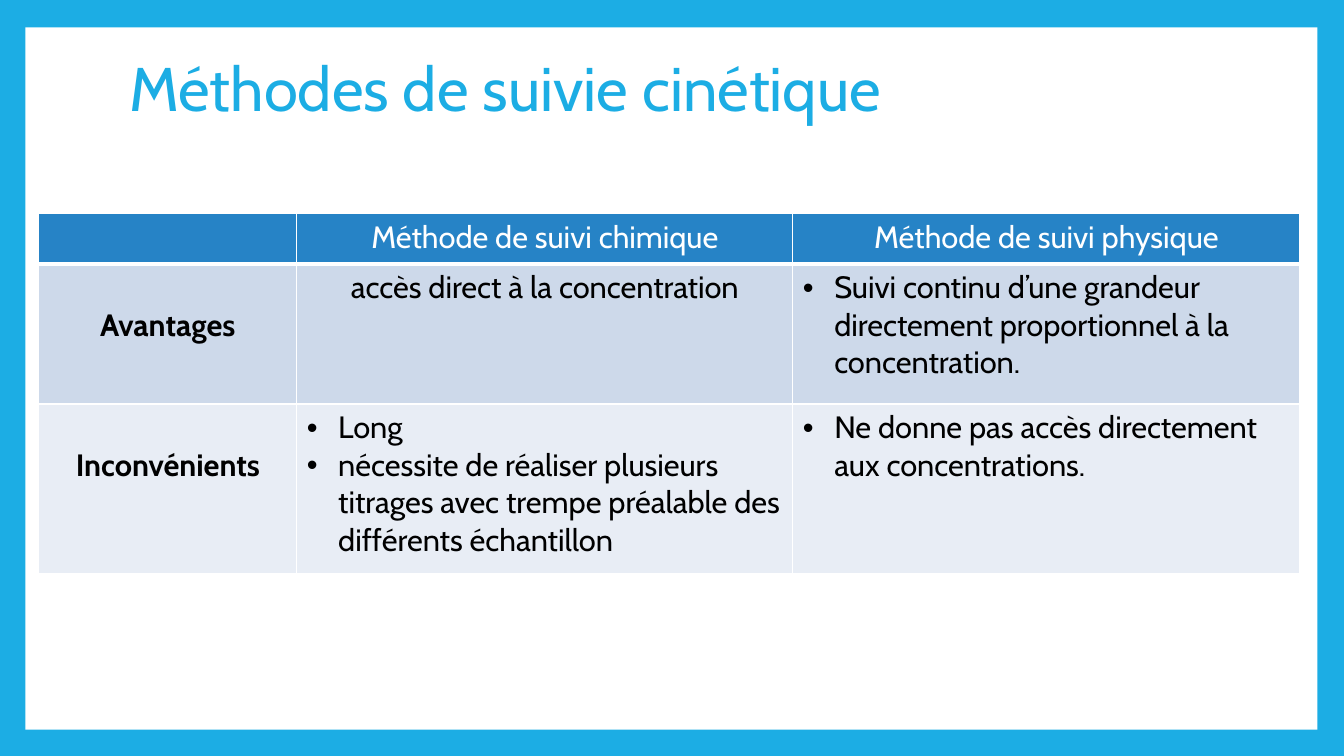
from lxml import etree
from pptx import Presentation
from pptx.dml.color import RGBColor
from pptx.enum import shapes, text
from pptx.oxml import ns
from pptx.util import Cm, Pt

SKY = RGBColor(0x1C, 0xAD, 0xE4)
HEADER_BLUE = RGBColor(0x26, 0x83, 0xC6)
BAND_DARK = RGBColor(0xCD, 0xD9, 0xEA)
BAND_LIGHT = RGBColor(0xE8, 0xED, 0xF5)
WHITE = RGBColor(0xFF, 0xFF, 0xFF)
BLACK = RGBColor(0, 0, 0)
FONT = "Cabin"
INDENT = Cm(0.79)
LABEL_DROP = Cm(1.09)  # row labels start one line lower

COLUMN_WIDTHS = [Cm(6.5), Cm(12.5), Cm(12.78)]
ROW_HEIGHTS = [Cm(1.27), Cm(3.53), Cm(4.27)]
ROW_FILLS = [HEADER_BLUE, BAND_DARK, BAND_LIGHT]

# A string is centred; a list is bulleted
METHODS = [
    ["", "Méthode de suivi chimique", "Méthode de suivi physique"],
    ["Avantages", "accès direct à la concentration",
     ["Suivi continu d’une grandeur directement proportionnel à la concentration."]],
    ["Inconvénients",
     ["Long", "nécessite de réaliser plusieurs titrages avec trempe préalable "
              "des différents échantillon"],
     ["Ne donne pas accès directement aux concentrations."]],
]


def write(paragraph, words, size=22, color=BLACK, bold=False, align=None,
          bullet=False, line_spacing=None):
    paragraph.alignment = align
    paragraph.line_spacing = line_spacing
    run = paragraph.add_run()
    run.text = words
    run.font.name, run.font.size, run.font.bold = FONT, Pt(size), bold
    run.font.color.rgb = color
    if bullet:
        properties = paragraph._p.get_or_add_pPr()
        properties.set("marL", str(INDENT))
        properties.set("indent", str(-INDENT))
        etree.SubElement(properties, ns.qn("a:buFont"), typeface="Arial")
        etree.SubElement(properties, ns.qn("a:buChar"), char="•")


def add_borders(cell, **widths):
    """Draw white cell borders, widths in points by side (L, R, T, B)."""
    properties = cell._tc.get_or_add_tcPr()
    for position, side in enumerate("LRTB"):
        line = etree.Element(ns.qn(f"a:ln{side}"), w=str(Pt(widths.get(side, 1))))
        fill = etree.SubElement(line, ns.qn("a:solidFill"))
        etree.SubElement(fill, ns.qn("a:srgbClr"), val=str(WHITE))
        properties.insert(position, line)


def fill_cell(cell, content, fill, header, label):
    cell.fill.solid()
    cell.fill.fore_color.rgb = fill
    add_borders(cell, B=3 if header else 1)
    if label and not header:
        cell.margin_top = LABEL_DROP
    bulleted = isinstance(content, list)
    lines = content if bulleted else [content]
    frame = cell.text_frame
    for number, words in enumerate(lines):
        paragraph = frame.add_paragraph() if number else frame.paragraphs[0]
        if words:
            write(paragraph, words, color=WHITE if header else BLACK,
                  bold=label, bullet=bulleted,
                  align=None if bulleted else text.PP_ALIGN.CENTER)


def add_panel(slide):
    panel = slide.shapes.add_shape(shapes.MSO_SHAPE.RECTANGLE,
                                   Cm(0.64), Cm(0.69), Cm(32.56), Cm(17.7))
    panel.shadow.inherit = False
    panel.fill.solid()
    panel.fill.fore_color.rgb = WHITE
    panel.line.fill.background()
    slide.shapes._spTree.insert(2, panel._element)  # behind the title


def add_title(slide, words):
    title = slide.shapes.title
    title.left, title.top, title.width, title.height = Cm(3), Cm(0.43), Cm(27.43), Cm(3.76)
    title.text_frame.vertical_anchor = text.MSO_ANCHOR.MIDDLE
    write(title.text_frame.paragraphs[0], words, size=44, color=SKY,
          align=text.PP_ALIGN.LEFT, line_spacing=0.9)


def add_methods_table(slide):
    methods = slide.shapes.add_table(
        len(ROW_HEIGHTS), len(COLUMN_WIDTHS), Cm(0.98), Cm(5.38),
        sum(COLUMN_WIDTHS), sum(ROW_HEIGHTS)).table
    methods.horz_banding = False
    for column, width in zip(methods.columns, COLUMN_WIDTHS):
        column.width = width
    for r, (height, fill) in enumerate(zip(ROW_HEIGHTS, ROW_FILLS)):
        methods.rows[r].height = height
        for c, content in enumerate(METHODS[r]):
            fill_cell(methods.cell(r, c), content, fill, header=r == 0, label=c == 0)


def main():
    deck = Presentation()
    deck.slide_width, deck.slide_height = Cm(33.87), Cm(19.05)
    slide = deck.slides.add_slide(deck.slide_layouts[5])

    # Blue surround with a white panel
    slide.background.fill.solid()
    slide.background.fill.fore_color.rgb = SKY
    add_panel(slide)

    # Title and comparison
    add_title(slide, "Méthodes de suivie cinétique")
    add_methods_table(slide)
    deck.save("out.pptx")


if __name__ == "__main__":
    main()
